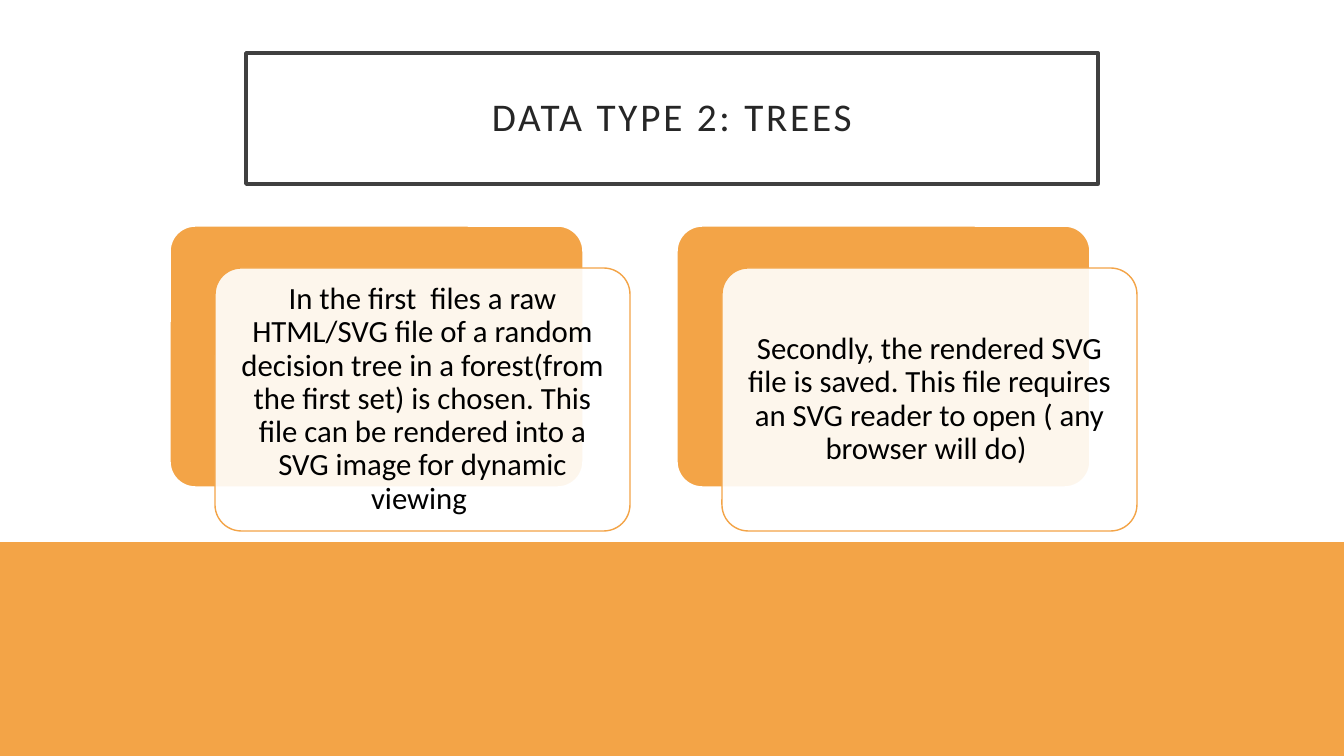
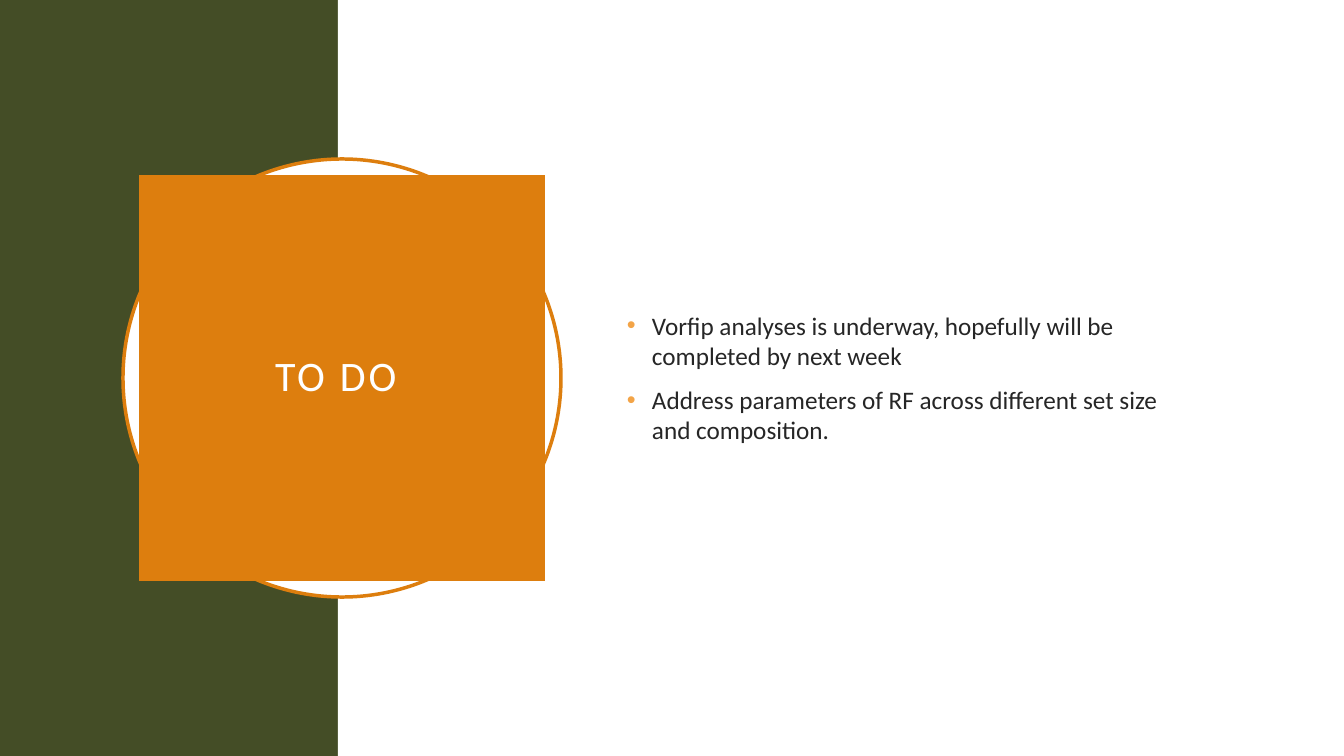
from lxml.etree import SubElement
from pptx import Presentation
from pptx.dml.color import RGBColor
from pptx.enum.shapes import MSO_SHAPE
from pptx.enum.text import MSO_ANCHOR, PP_ALIGN
from pptx.oxml.ns import qn
from pptx.util import Pt

SCALE = 914400 / 100.8
WIDE, HIGH = 1344, 756
HUES = {"white": "FFFFFF", "amber": "F3A447", "orange": "DD7E0E",
        "olive": "444D26", "frame": "404040", "ink": "262626",
        "black": "000000"}
MID = {"alignment": PP_ALIGN.CENTER, "line_spacing": 0.9}
LIST = {"alignment": PP_ALIGN.LEFT, "space_before": Pt(10)}


def px(num):
    return round(num * SCALE)


def hue(name):
    return RGBColor.from_string(HUES[name])


def apply(item, form):
    for key, val in form.items():
        setattr(item, key, val)


class Deck:
    """Hold the shared style and the current slide."""

    def __init__(self):
        self.show = Presentation()
        apply(self.show, {"slide_width": px(WIDE), "slide_height": px(HIGH)})

    def page(self):
        self.slide = self.show.slides.add_slide(self.show.slide_layouts[6])

    def shape(self, box, fill, line=None, width=2.5, kind=MSO_SHAPE.RECTANGLE,
              clear=None):
        item = self.slide.shapes.add_shape(kind, *map(px, box))
        item.shadow.inherit = False
        item.fill.solid()
        item.fill.fore_color.rgb = hue(fill)
        if clear:
            tone = item._element.spPr.find(".//" + qn("a:srgbClr"))
            SubElement(tone, qn("a:alpha"), val=str(clear * 1000))
        if line:
            item.line.color.rgb = hue(line)
            item.line.width = Pt(width)
        else:
            item.line.fill.background()
        if kind == MSO_SHAPE.ROUNDED_RECTANGLE:
            item.adjustments[0] = 0.1
        return item

    def words(self, item, lines, size, tint, form, pad=(10, 5), gap=0, dot=None):
        frame = item.text_frame
        side, top = map(px, pad)
        apply(frame, {"word_wrap": True, "vertical_anchor": MSO_ANCHOR.MIDDLE,
                      "margin_left": side, "margin_right": side,
                      "margin_top": top, "margin_bottom": top})
        for num, line in enumerate(lines):
            para = frame.add_paragraph() if num else frame.paragraphs[0]
            apply(para, form)
            run = para.add_run()
            run.text = line
            apply(run.font, {"name": "Calibri", "size": Pt(size)})
            run.font.color.rgb = hue(tint)
            if gap:
                run._r.get_or_add_rPr().set("spc", str(gap * 100))
            if dot:
                self.bullet(para, dot)

    def bullet(self, para, dot):
        prop = para._p.get_or_add_pPr()
        prop.set("marL", str(px(25)))
        prop.set("indent", str(px(-25)))
        tone = SubElement(prop, qn("a:buClr"))
        SubElement(tone, qn("a:srgbClr"), val=HUES[dot])
        SubElement(prop, qn("a:buFont"), typeface="Arial")
        SubElement(prop, qn("a:buChar"), char="•")

    def title(self, text, box, fill, line, size, tint):
        item = self.shape(box, fill, line)
        self.words(item, [text], size, tint, MID, pad=(20, 20), gap=2)

    def text(self, box, lines, size, tint, form, **more):
        item = self.slide.shapes.add_textbox(*map(px, box))
        self.words(item, lines, size, tint, form, **more)

    def card(self, left, top, text):
        wide, high = 415, 263
        kind = MSO_SHAPE.ROUNDED_RECTANGLE
        self.shape((left, top, wide, high), "amber", "white", kind=kind)
        left, top = left + 46, top + 43
        self.shape((left, top, wide, high), "white", "amber", 1, kind, 90)
        self.text((left + 8, top + 8, wide - 16, high - 16), [text], 22,
                  "black", MID, pad=(9, 9))


deck = Deck()

deck.page()
floor = 542
deck.shape((0, floor, WIDE, HIGH - floor), "amber")
deck.shape((0, 0, WIDE, floor), "white")
deck.title("DATA TYPE 2: TREES", (246, 53, 852, 131), "white", "frame", 28, "ink")
STEPS = [
    "In the first  files a raw HTML/SVG file of a random decision tree in a "
    "forest(from the first set) is chosen. This file can be rendered into a "
    "SVG image for dynamic viewing ",
    "Secondly, the rendered SVG file is saved. This file requires an SVG "
    "reader to open ( any browser will do) "]
for num, step in enumerate(STEPS):
    deck.card(169 + 507 * num, 225, step)

deck.page()
edge = 338
deck.shape((0, 0, edge, HIGH), "olive")
deck.shape((edge, 0, WIDE - edge, HIGH), "white")
deck.shape((123, 159, 438, 438), "white", "orange", kind=MSO_SHAPE.OVAL)
deck.title("TO DO ", (139, 175, 406, 406), "orange", None, 30, "white")
TASKS = [
    "Vorfip analyses is underway, hopefully will be completed by next week ",
    "Address parameters of RF across different set size and composition. "]
deck.text((617, 154, 587, 447), TASKS, 18, "ink", LIST, dot="amber")

deck.show.save("out.pptx")
